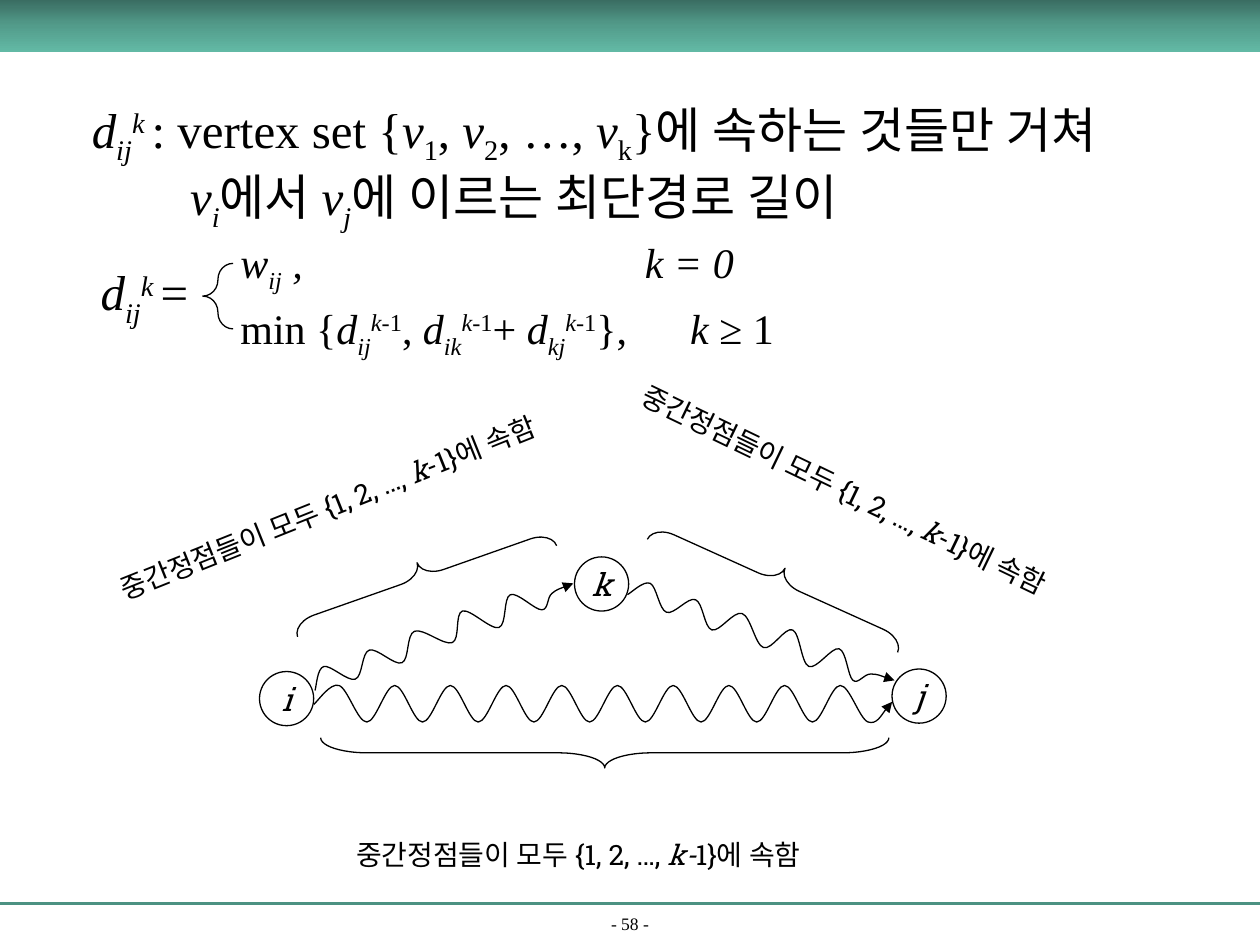
import copy

import lxml.etree
import pptx
import pptx.dml.color
import pptx.enum.shapes
import pptx.enum.text
import pptx.oxml.ns
import pptx.util

Inches = pptx.util.Inches
Pt = pptx.util.Pt
SHAPES = pptx.enum.shapes.MSO_SHAPE
ALIGN = pptx.enum.text.PP_ALIGN
ANCHOR = pptx.enum.text.MSO_ANCHOR
SERIF, SLAB = "Times New Roman", "Roboto Slab"
BASELINES = {"_": "-25000", "^": "30000"}


def colour(value):
    return pptx.dml.color.RGBColor.from_string(value)


def add_element(parent, tag, **attributes):
    return lxml.etree.SubElement(parent, pptx.oxml.ns.qn(tag), attributes)


def write(para, parts, size, font=SERIF, align=ALIGN.LEFT, before=0, indent=0, tab=None):
    """Parts are (text, style) pairs; a style may hold i (italic), _ (sub) and ^ (super)."""
    para.alignment = align
    para.space_before = Pt(before)
    properties = para._p.get_or_add_pPr()
    if indent:
        properties.set("marL", str(Inches(indent)))
    if tab:
        stops = add_element(properties, "a:tabLst")
        add_element(stops, "a:tab", pos=str(Inches(tab)), algn="l")
    for text, style in parts:
        span = para.add_run()
        span.text = text
        span.font.size = Pt(size)
        span.font.name = font
        span.font.color.rgb = colour("000000")
        span.font.italic = "i" in style
        character = span._r.get_or_add_rPr()
        add_element(character, "a:ea", typeface=SLAB)
        for mark, baseline in BASELINES.items():
            if mark in style:
                character.set("baseline", baseline)


def add_text(page, left, top, width, height, lines, rotation=0, anchor=ANCHOR.TOP, **formats):
    """Lines are (parts, paragraph options) pairs."""
    box = page.shapes.add_textbox(Inches(left), Inches(top), Inches(width), Inches(height))
    box.rotation = rotation
    frame = box.text_frame
    frame.word_wrap = True
    frame.vertical_anchor = anchor
    for index, (parts, options) in enumerate(lines):
        para = frame.add_paragraph() if index else frame.paragraphs[0]
        write(para, parts, **formats, **options)


def outline(shape, arrow=False):
    shape.shadow.inherit = False
    shape.fill.background()
    shape.line.color.rgb = colour("000000")
    shape.line.width = Pt(0.75)
    if arrow:
        add_element(shape.line._get_or_add_ln(), "a:tailEnd", type="triangle")


def add_brace(page, left, top, width, height, curl, rotation=0):
    brace = page.shapes.add_shape(
        SHAPES.LEFT_BRACE, Inches(left), Inches(top), Inches(width), Inches(height))
    brace.adjustments[0] = curl
    brace.rotation = rotation
    outline(brace)


def add_vertex(page, left, top, name, size=0.43):
    vertex = page.shapes.add_shape(
        SHAPES.OVAL, Inches(left), Inches(top), Inches(size), Inches(size))
    outline(vertex)
    vertex.text_frame.word_wrap = False
    vertex.text_frame.vertical_anchor = ANCHOR.MIDDLE
    write(vertex.text_frame.paragraphs[0], [(name, "i")], 18, SLAB, ALIGN.CENTER)


def round_corners(shape):
    """Turn the straight segments of a freeform into one smooth run of Bézier curves."""
    segments = list(shape._element.iter(pptx.oxml.ns.qn("a:lnTo")))
    knots = [(int(point.get("x")), int(point.get("y")))
             for point in shape._element.iter(pptx.oxml.ns.qn("a:pt"))]
    padded = [knots[0], *knots, knots[-1]]
    for segment, a, b, c, d in zip(segments, padded, padded[1:], padded[2:], padded[3:]):
        leaving = [q + (r - p) / 6 for p, q, r in zip(a, b, c)]
        arriving = [r - (s - q) / 6 for q, r, s in zip(b, c, d)]
        segment.clear()
        segment.tag = pptx.oxml.ns.qn("a:cubicBezTo")
        for x, y in (leaving, arriving, c):
            add_element(segment, "a:pt", x=str(round(x)), y=str(round(y)))


def add_wave(page, knots):
    points = [(Inches(x), Inches(y)) for x, y in knots]
    builder = page.shapes.build_freeform(*points[0])
    builder.add_line_segments(points[1:], close=False)
    wave = builder.convert_to_shape()
    round_corners(wave)
    outline(wave, arrow=True)


def add_frame(page, width):
    band = page.shapes.add_shape(SHAPES.RECTANGLE, 0, 0, Inches(width), Inches(0.41))
    band.shadow.inherit = False
    band.line.fill.background()
    band.fill.gradient()
    band.fill.gradient_angle = 270
    stop_list = band._element.spPr.find(".//" + pptx.oxml.ns.qn("a:gsLst"))
    stop_list.append(copy.deepcopy(stop_list[0]))
    for stop, position, value in zip(
            band.fill.gradient_stops, (0, 0.5, 1), ("3A6D62", "539C8B", "62B9A5")):
        stop.position = position
        stop.color.rgb = colour(value)

    rule = page.shapes.add_connector(
        pptx.enum.shapes.MSO_CONNECTOR.STRAIGHT, 0, Inches(7.17), Inches(width), Inches(7.17))
    rule.line.color.rgb = colour("4C9282")
    rule.line.width = Pt(1.5)
    add_element(rule._element.spPr, "a:effectLst")
    add_text(page, 0, 7.24, width, 0.22, [([("- 58 -", "")], {"align": ALIGN.CENTER})],
             anchor=ANCHOR.BOTTOM, size=10)


def distance(ends, power, less=""):
    return [("d", "i"), (ends, "i_"), (power, "i^")] + ([(less, "^")] if less else [])


def add_definition(page, left, top):
    first = distance("ij", "k ") + [
        (": vertex set {", ""), ("v", "i"), ("1", "_"), (", ", ""), ("v", "i"), ("2", "_"),
        (", …, ", ""), ("v", "i"), ("k", "_"), ("}에 속하는 것들만 거쳐", "")]
    second = [("v", "i"), ("i", "i_"), ("에서 ", ""), ("v", "i"), ("j", "i_"),
              ("에 이르는 최단경로 길이", "")]
    add_text(page, left, top, 8.88, 1.04, [(first, {}), (second, {"indent": 0.78})], size=28)


def add_recurrence(page, left, top):
    add_text(page, left, top + 0.2, 0.98, 0.57,
             [(distance("ij", "k ") + [("=", "")], {})], size=28)
    add_brace(page, left + 0.91, top + 0.26, 0.24, 0.52, 0.53)
    base = [("w", "i"), ("ij", "i_"), (" ,\tk = 0", "i")]
    step = [("min {", ""), *distance("ij", "k", "-1"), (", ", ""), *distance("ik", "k", "-1"),
            ("+ ", ""), *distance("kj", "k", "-1"), ("},\t", ""), ("k", "i"), (" ≥ 1", "")]
    add_text(page, left + 1.11, top, 5.26, 1.12,
             [(base, {"tab": 3.21}), (step, {"tab": 3.57, "before": 4.8})], size=24)


def add_path_diagram(page):
    for left, top, name in ((2.06, 5.33, "i"), (7.08, 5.31, "j"), (4.56, 4.42, "k")):
        add_vertex(page, left, top, name)

    i_to_k = [(2.5, 5.48), (2.57, 5.29), (2.82, 5.39), (2.93, 5.16), (3.19, 5.26), (3.29, 5.01),
              (3.59, 5.1), (3.67, 4.85), (3.96, 4.98), (4.05, 4.72), (4.3, 4.84), (4.38, 4.71),
              (4.55, 4.63)]
    k_to_j = [(4.98, 4.72), (5.16, 4.63), (5.29, 4.86), (5.52, 4.76), (5.65, 5), (5.89, 4.87),
              (6.06, 5.14), (6.29, 5), (6.42, 5.29), (6.66, 5.15), (6.77, 5.4), (6.91, 5.35),
              (7.1, 5.4)]
    crests = [(2.69 + 4.2 * n / 19, 5.73 if n % 2 else 5.44) for n in range(20)]
    i_to_j = [(2.49, 5.59), *crests, (7.08, 5.57)]
    for knots in (i_to_k, k_to_j, i_to_j):
        add_wave(page, knots)

    add_brace(page, 3.23, 3.49, 0.24, 2.18, 0.746, 70.6)
    add_brace(page, 6.06, 3.53, 0.24, 2.18, 0.746, 114.3)
    add_brace(page, 4.68, 3.72, 0.24, 4.51, 1.545, 270)

    for left, top, width, rotation, italic, upright in (
            (0.72, 3.74, 4.27, 338.1, "k", "-1"), (4.81, 3.82, 4.27, 25.7, "k", "-1"),
            (2.73, 6.6, 4.13, 0, "k-", "1")):
        label = [("중간정점들이 모두 {1, 2, …, ", ""), (italic, "i"), (upright + "}에 속함", "")]
        add_text(page, left, top, width, 0.37, [(label, {})], rotation, size=16, font=SLAB)


def main():
    deck = pptx.Presentation()
    deck.slide_width, deck.slide_height = Inches(10), Inches(7.5)
    page = deck.slides.add_slide(deck.slide_layouts[6])
    add_frame(page, 10)
    add_definition(page, 0.63, 0.74)
    add_recurrence(page, 0.7, 1.83)
    add_path_diagram(page)
    deck.save("out.pptx")


if __name__ == "__main__":
    main()
